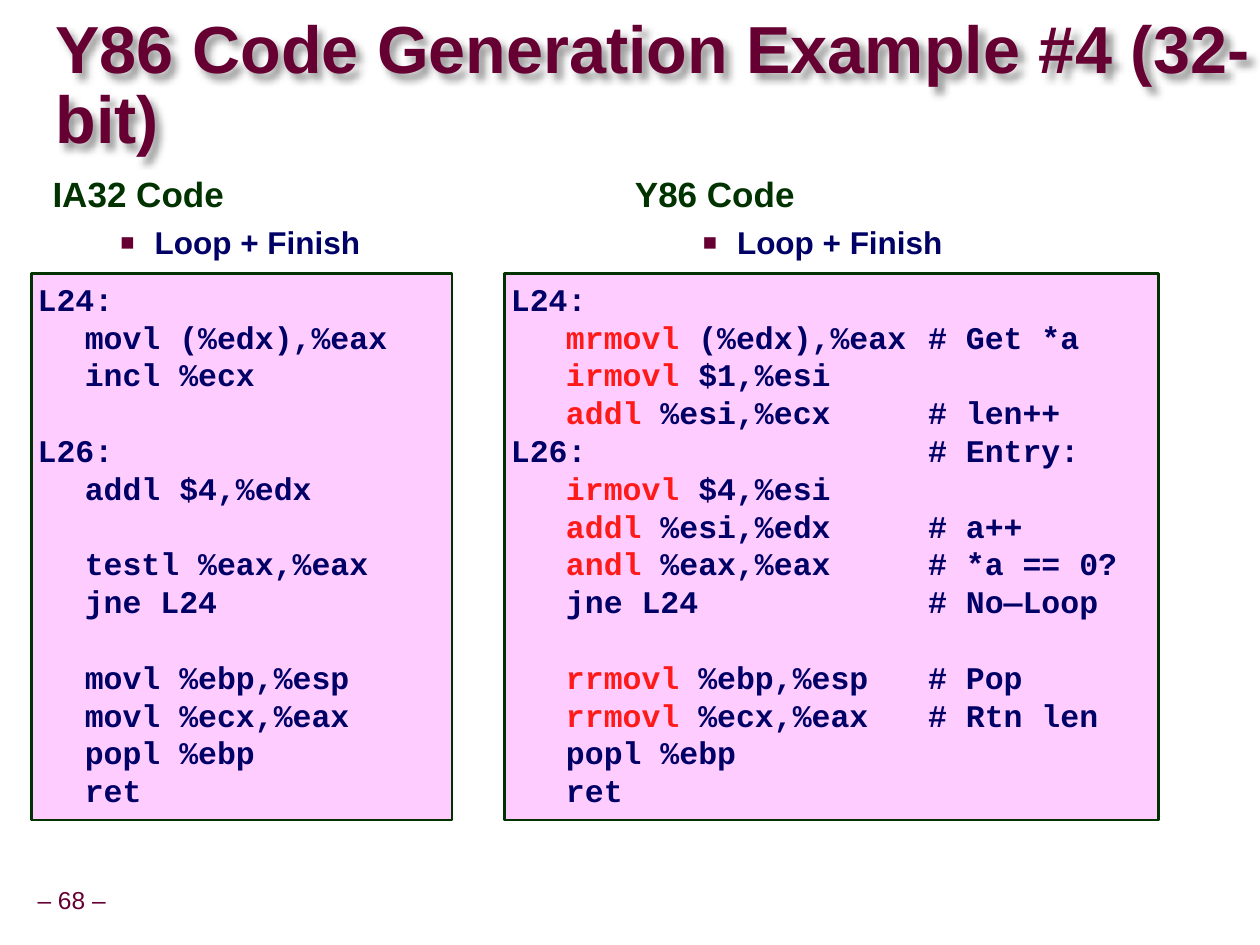
from lxml.etree import SubElement
from pptx import Presentation
from pptx.dml.color import RGBColor
from pptx.enum.shapes import MSO_SHAPE
from pptx.enum.text import MSO_ANCHOR, MSO_AUTO_SIZE, PP_ALIGN
from pptx.oxml.ns import qn
from pptx.util import Cm, Pt

MAROON, GREEN, NAVY = "660033", "003300", "000066"
PINK, RED = "FFCCFF", "FF1A1A"

IA32_CODE = """L24:
\tmovl (%edx),%eax
\tincl %ecx

L26:
\taddl $4,%edx

\ttestl %eax,%eax
\tjne L24

\tmovl %ebp,%esp
\tmovl %ecx,%eax
\tpopl %ebp
\tret"""

Y86_CODE = """L24:
\tmrmovl (%edx),%eax\t# Get *a
\tirmovl $1,%esi\t
\taddl %esi,%ecx\t# len++
L26:\t# Entry:
\tirmovl $4,%esi
\taddl %esi,%edx\t# a++
\tandl %eax,%eax\t# *a == 0?
\tjne L24\t# No—Loop

\trrmovl %ebp,%esp\t# Pop
\trrmovl %ecx,%eax\t# Rtn len
\tpopl %ebp
\tret"""

CHANGED_INSTRUCTIONS = {"mrmovl", "irmovl", "rrmovl", "addl", "andl"}


def rgb(hex_code):
    return RGBColor.from_string(hex_code)


def style(font, size, color, bold=True, name="Arial"):
    font.name = name
    font.size = Pt(size)
    font.bold = bold
    font.color.rgb = rgb(color)


def set_margins(frame, horizontal, vertical):
    frame.margin_left = frame.margin_right = Cm(horizontal)
    frame.margin_top = frame.margin_bottom = Cm(vertical)


def add_soft_shadow(shape):
    effects = SubElement(shape._element.spPr, qn("a:effectLst"))
    shadow = SubElement(effects, qn("a:outerShdw"), blurRad=str(Pt(4)),
                        dist=str(Pt(4)), dir="2700000", algn="tl", rotWithShape="0")
    tint = SubElement(shadow, qn("a:srgbClr"), val="000000")
    SubElement(tint, qn("a:alpha"), val="40000")


def add_title(slide, wording):
    title = slide.shapes.title
    title.left, title.top, title.width, title.height = Cm(1.12), Cm(0.69), Cm(24.2), Cm(2.16)
    frame = title.text_frame
    frame.text = wording
    frame.auto_size = MSO_AUTO_SIZE.NONE
    frame.vertical_anchor = MSO_ANCHOR.MIDDLE
    set_margins(frame, 0, 0)
    heading = frame.paragraphs[0]
    heading.alignment = PP_ALIGN.LEFT
    heading.line_spacing = 0.87
    style(heading.runs[0].font, 38, MAROON)
    add_soft_shadow(title)


def add_square_bullet(paragraph):
    properties = paragraph._p.get_or_add_pPr()
    properties.set("marL", str(Cm(2.06)))
    properties.set("indent", str(Cm(-0.69)))
    bullet_color = SubElement(properties, qn("a:buClr"))
    SubElement(bullet_color, qn("a:srgbClr"), val=MAROON)
    SubElement(properties, qn("a:buSzPct"), val="75000")
    SubElement(properties, qn("a:buFont"), typeface="Arial")
    SubElement(properties, qn("a:buChar"), char="■")


def add_heading(slide, left, language, topic):
    frame = slide.shapes.add_textbox(Cm(left), Cm(3.4), Cm(11.33), Cm(1.9)).text_frame
    frame.word_wrap = True
    set_margins(frame, 0.25, 0.13)
    frame.text = f"{language}\n{topic}"
    language_line, topic_line = frame.paragraphs
    language_line.line_spacing = topic_line.line_spacing = 0.95
    topic_line.space_before = Pt(6)
    add_square_bullet(topic_line)
    style(language_line.runs[0].font, 20, GREEN)
    style(topic_line.runs[0].font, 18, NAVY)


def add_tab_stops(paragraph, stops):
    tab_list = SubElement(paragraph._p.get_or_add_pPr(), qn("a:tabLst"))
    for stop in stops:
        SubElement(tab_list, qn("a:tab"), pos=str(Cm(stop)), algn="l")


def add_code_run(paragraph, code, color=NAVY):
    run = paragraph.add_run()
    run.text = code
    style(run.font, 18, color, name="Courier New")


def write_code_line(paragraph, line, highlighted):
    instruction, space, rest = line.lstrip("\t").partition(" ")
    if not line:
        blank = SubElement(paragraph._p, qn("a:endParaRPr"), sz="1800", b="1")
        SubElement(blank, qn("a:latin"), typeface="Courier New")
    elif instruction in highlighted:
        add_code_run(paragraph, "\t")
        add_code_run(paragraph, instruction, RED)
        add_code_run(paragraph, space + rest)
    else:
        add_code_run(paragraph, line)


def add_code_box(slide, left, width, code, stops, highlighted=()):
    box = slide.shapes.add_shape(MSO_SHAPE.RECTANGLE, Cm(left), Cm(5.51), Cm(width), Cm(11.02))
    box.shadow.inherit = False
    box.fill.solid()
    box.fill.fore_color.rgb = rgb(PINK)
    box.line.color.rgb = rgb(GREEN)
    box.line.width = Pt(1.5)
    frame = box.text_frame
    frame.word_wrap = True
    frame.vertical_anchor = MSO_ANCHOR.TOP
    set_margins(frame, 0.13, 0.13)
    for number, line in enumerate(code.split("\n")):
        paragraph = frame.add_paragraph() if number else frame.paragraphs[0]
        paragraph.alignment = PP_ALIGN.LEFT
        add_tab_stops(paragraph, stops)
        write_code_line(paragraph, line, highlighted)


def add_page_number(slide, wording):
    frame = slide.shapes.add_textbox(Cm(0.58), Cm(17.78), Cm(1.73), Cm(0.81)).text_frame
    frame.word_wrap = False
    frame.vertical_anchor = MSO_ANCHOR.MIDDLE
    set_margins(frame, 0.13, 0.13)
    frame.text = wording
    number = frame.paragraphs[0]
    number.alignment = PP_ALIGN.CENTER
    number.line_spacing = 0.9
    style(number.runs[0].font, 14, MAROON, bold=False)


def main():
    deck = Presentation()
    deck.slide_width, deck.slide_height = Cm(25.4), Cm(19.05)
    slide = deck.slides.add_slide(deck.slide_layouts[5])
    add_page_number(slide, "– 68 –")
    add_title(slide, "Y86 Code Generation Example #4 (32-bit)")
    add_heading(slide, 0.81, "IA32 Code", "Loop + Finish")
    add_heading(slide, 12.55, "Y86 Code", "Loop + Finish")
    add_code_box(slide, 0.63, 8.48, IA32_CODE, [0.95])
    add_code_box(slide, 10.17, 13.18, Y86_CODE, [1.11, 8.41], CHANGED_INSTRUCTIONS)
    deck.save("out.pptx")


if __name__ == "__main__":
    main()
